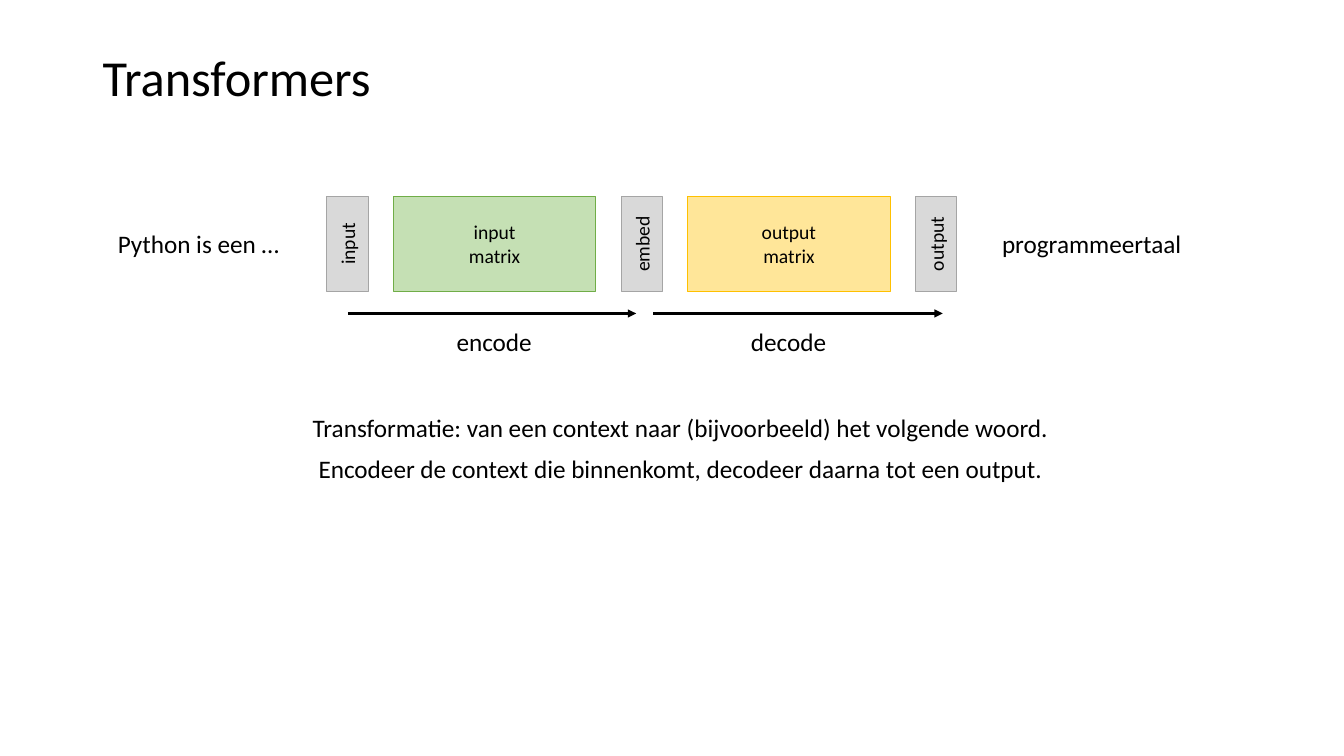
from pptx import Presentation
from pptx.util import Inches, Pt
from pptx.dml.color import RGBColor
from pptx.enum.shapes import MSO_CONNECTOR, MSO_SHAPE
from pptx.enum.text import MSO_ANCHOR, PP_ALIGN
from pptx.oxml.ns import qn
from lxml import etree

COLORS = {
    "text": "000000",
    "gray": "D9D9D9", "gray_line": "A5A5A5",
    "green": "C5E0B4", "green_line": "70AD47",
    "yellow": "FFE699", "yellow_line": "FFC000",
}


def rgb(name):
    return RGBColor.from_string(COLORS[name])


def write(tf, lines, size, align=PP_ALIGN.LEFT, spacing=1.0, gap=0):
    for i, line in enumerate(lines):
        p = tf.paragraphs[0] if i == 0 else tf.add_paragraph()
        p.alignment = align
        p.line_spacing = spacing
        p.space_before = Pt(gap if i else 0)
        r = p.add_run()
        r.text = line
        r.font.name = "Calibri"
        r.font.size = Pt(size)
        r.font.color.rgb = rgb("text")


prs = Presentation()
prs.slide_width = Inches(13.33)
prs.slide_height = Inches(7.5)
s = prs.slides.add_slide(prs.slide_layouts[6])

# Title
tf = s.shapes.add_textbox(Inches(0.92), Inches(0.4), Inches(11.5), Inches(0.79)).text_frame
tf.word_wrap = True
tf.vertical_anchor = MSO_ANCHOR.MIDDLE
write(tf, ["Transformers"], 36, spacing=0.9)

# Explanation
tf = s.shapes.add_textbox(Inches(1), Inches(4.07), Inches(11.5), Inches(2.68)).text_frame
tf.word_wrap = True
write(tf, [
    "Transformatie: van een context naar (bijvoorbeeld) het volgende woord.",
    "Encodeer de context die binnenkomt, decodeer daarna tot een output.",
], 18, PP_ALIGN.CENTER, 0.9, 10)

# Labels beside and below the diagram
for text, x, y, w in [
    ("Python is een …", 1.07, 2.22, 1.84),
    ("programmeertaal", 9.84, 2.22, 2),
    ("encode", 4.43, 3.19, 0.96),
    ("decode", 7.35, 3.19, 0.96),
]:
    tf = s.shapes.add_textbox(Inches(x), Inches(y), Inches(w), Inches(0.4)).text_frame
    tf.word_wrap = False
    write(tf, [text], 18)

# Vectors (narrow, rotated text) and matrices (wide), left to right
VECTOR_W, MATRIX_W, GAP = 0.41, 2.01, 0.25
x = 3.24
for lines, color in [
    (["input"], "gray"),
    (["input", "matrix"], "green"),
    (["embed"], "gray"),
    (["output", "matrix"], "yellow"),
    (["output"], "gray"),
]:
    is_vector = color == "gray"
    w = VECTOR_W if is_vector else MATRIX_W
    sp = s.shapes.add_shape(MSO_SHAPE.RECTANGLE, Inches(x), Inches(1.95), Inches(w), Inches(0.94))
    sp.shadow.inherit = False
    sp.fill.solid()
    sp.fill.fore_color.rgb = rgb(color)
    sp.line.color.rgb = rgb(color + "_line")
    sp.line.width = Pt(0.5)
    tf = sp.text_frame
    tf.vertical_anchor = MSO_ANCHOR.MIDDLE
    if is_vector:
        tf._txBody.bodyPr.set("vert", "vert270")
    write(tf, lines, 14, PP_ALIGN.CENTER)
    x += w + GAP

# Encode and decode arrows
for x1, x2 in [(3.45, 6.31), (6.48, 9.35)]:
    arrow = s.shapes.add_connector(
        MSO_CONNECTOR.STRAIGHT, Inches(x1), Inches(3.11), Inches(x2), Inches(3.11))
    arrow.line.color.rgb = rgb("text")
    arrow.line.width = Pt(1.5)
    etree.SubElement(arrow.line._get_or_add_ln(), qn("a:tailEnd"), type="triangle")
    etree.SubElement(arrow._element.spPr, qn("a:effectLst"))

prs.save("out.pptx")
